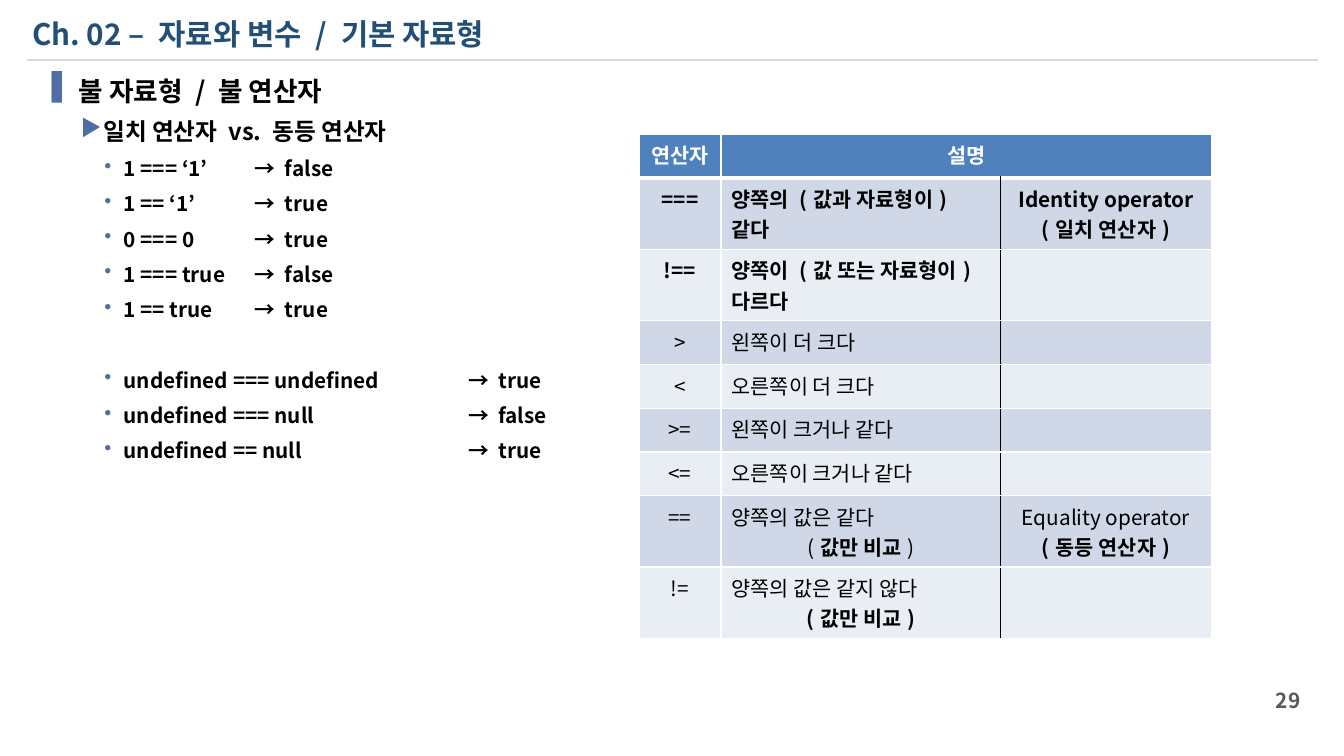
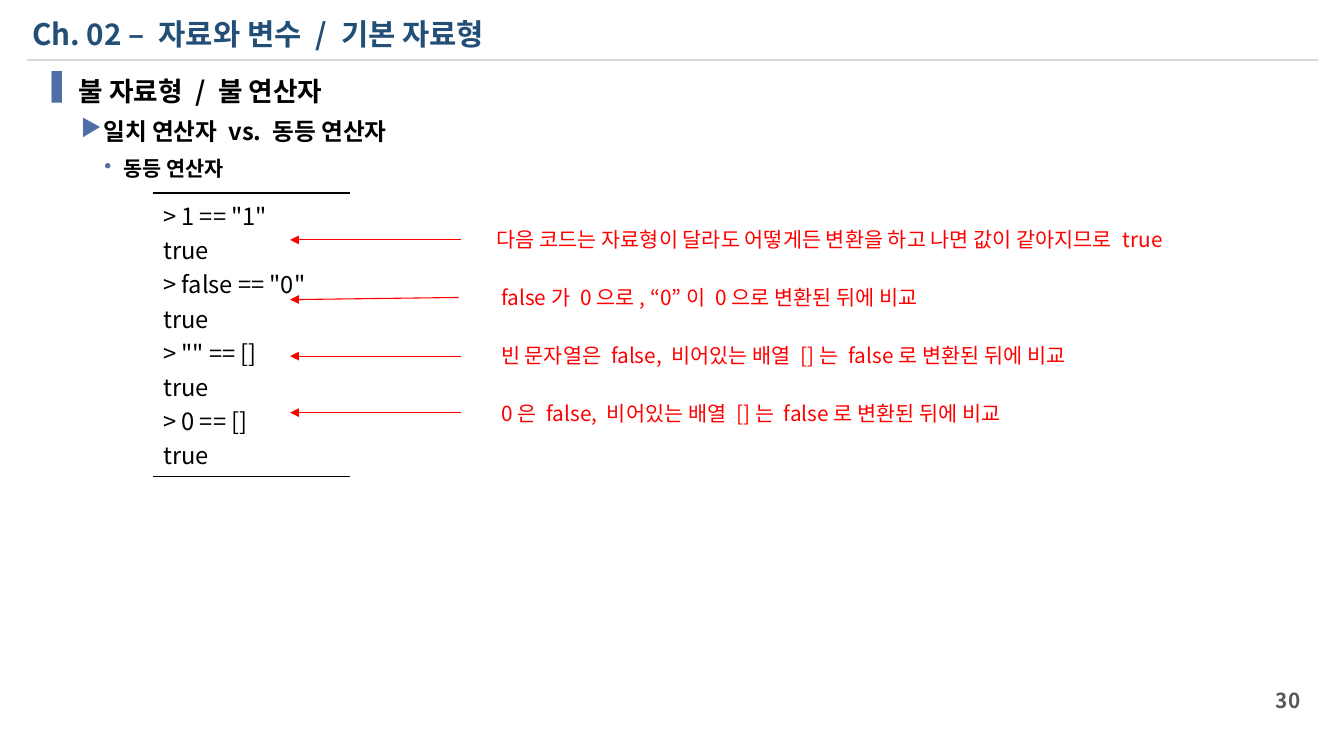
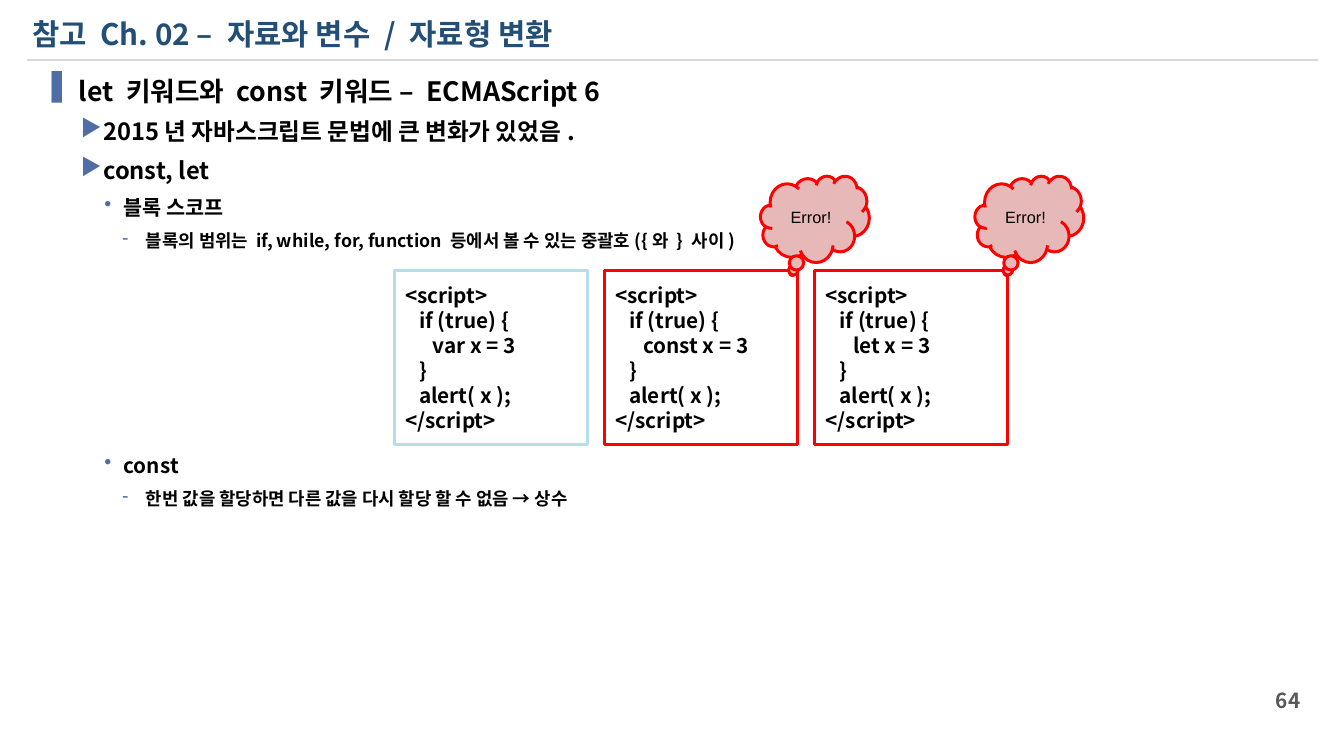
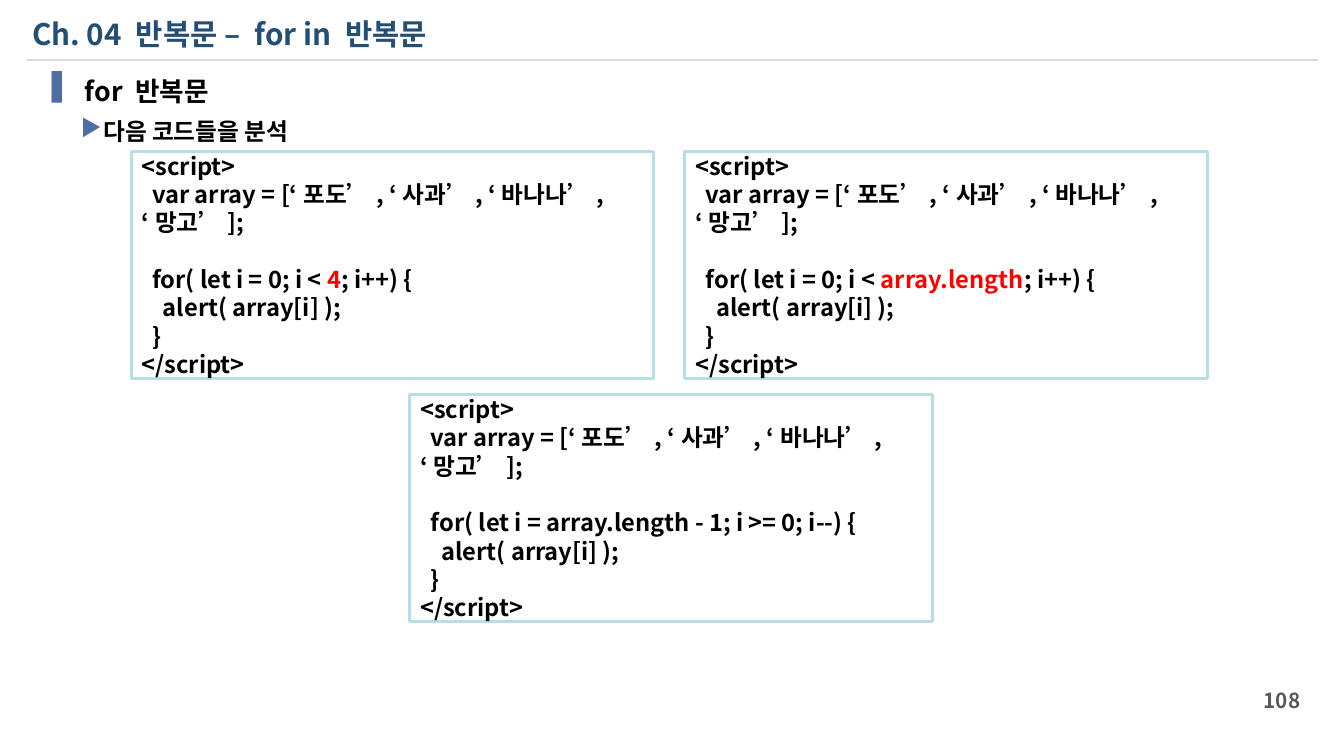
from lxml.etree import SubElement
from pptx import Presentation
from pptx.dml.color import RGBColor
from pptx.enum.shapes import MSO_CONNECTOR, MSO_SHAPE
from pptx.enum.text import MSO_ANCHOR as ANCHOR, MSO_AUTO_SIZE as AUTO, PP_ALIGN as ALIGN
from pptx.oxml.ns import qn
from pptx.util import Pt

PX = 9144  # 100 px to the inch
FONT = "Noto Sans CJK KR"
LEADING = 1.2  # line pitch of outlines and code, in font sizes
TAB_STOPS = [100, 200, 300, 400]
COLORS = {
    "title": "234F77", "rule": "D9D9D9", "page": "595959", "bullet": "506EA5",
    "black": "000000", "white": "FFFFFF", "red": "FF0000", "pink": "E6B9B8",
    "sky": "B7DEE8", "header": "4F81BD", "band0": "D0D8E8", "band1": "E9EDF4",
}

# Outline levels: bullet, left margin, hanging indent (px), size and space before (pt)
LEVELS = [("▐", 35, 35, 18, 14), ("▶", 58, 21, 16, 7), ("•", 77, 18, 14, 7), ("-", 98, 22, 12, 7)]

# Content: outline lines are (level, text) or (level, text, space before in pt)
BASIC_TITLE = "Ch. 02 – 자료와 변수 / 기본 자료형"
COMPARISON = [(0, "불 자료형 / 불 연산자"), (1, "일치 연산자 vs. 동등 연산자")]
SLIDES = {
    "operators": (BASIC_TITLE, 29, COMPARISON + [
        (2, "1 === ‘1’ \t→  false"),
        (2, "1 == ‘1’\t→  true"),
        (2, "0 === 0\t→  true"),
        (2, "1 === true \t→  false"),
        (2, "1 == true\t→  true"),
        (2, "undefined === undefined\t→  true", 31),
        (2, "undefined === null\t\t→  false"),
        (2, "undefined == null\t\t→  true"),
    ]),
    "equality": (BASIC_TITLE, 30, COMPARISON + [(2, "동등 연산자")]),
    "scope": ("참고 Ch. 02 – 자료와 변수 / 자료형 변환", 64, [
        (0, "let 키워드와 const 키워드 – ECMAScript 6"),
        (1, "2015년 자바스크립트 문법에 큰 변화가 있었음."),
        (1, "const, let"),
        (2, "블록 스코프"),
        (3, "블록의 범위는 if, while, for, function 등에서 볼 수 있는 중괄호({와 } 사이)"),
        (2, "const", 136),
        (3, "한번 값을 할당하면 다른 값을 다시 할당 할 수 없음 → 상수"),
    ]),
    "loops": ("Ch. 04 반복문 – for in 반복문", 108, [(0, " for 반복문"), (1, "다음 코드들을 분석")]),
}

# Text between bars is emphasised
OPERATOR_HEADS = ["연산자", "설명"]
OPERATOR_WIDTHS = [77, 262, 198]
OPERATOR_HEIGHTS = [41, 67, 67, 41, 41, 41, 41, 67, 67]
OPERATORS = [
    ("|===|", ["|양쪽의 (값과 자료형이) 같다|"], ["|Identity operator|", "|(일치 연산자)|"]),
    ("|!==|", ["|양쪽이 (값 또는 자료형이) 다르다|"], [""]),
    (">", ["왼쪽이 더 크다"], [""]),
    ("<", ["오른쪽이 더 크다"], [""]),
    (">=", ["왼쪽이 크거나 같다"], [""]),
    ("<=", ["오른쪽이 크거나 같다"], [""]),
    ("==", ["양쪽의 값은 같다", "(|값만 비교|)"], ["Equality operator", "|(동등 연산자)|"]),
    ("!=", ["양쪽의 값은 같지 않다", "|(값만 비교)|"], [""]),
]

CONSOLE = ['> 1 == "1"', "true", '> false == "0"', "true", '> "" == []', "true", "> 0 == []", "true"]
# Text, text left and top, width, arrow start and end
REMARKS = [
    ("다음 코드는 자료형이 달라도 어떻게든 변환을 하고 나면 값이 같아지므로 true", 456, 208, 735, (432, 225), (272, 225)),
    ("false가 0으로, “0”이 0으로 변환된 뒤에 비교", 460, 262, 668, (430, 279), (272, 281)),
    ("빈 문자열은 false, 비어있는 배열 []는 false로 변환된 뒤에 비교", 460, 317, 747, (432, 334), (272, 334)),
    ("0은 false, 비어있는 배열 []는 false로 변환된 뒤에 비교", 460, 371, 747, (432, 387), (272, 387)),
]

# Code lines are (indent steps, text) or (indent steps, text, space before in pt)
DECLARATIONS = [("var", "sky"), ("const", "red"), ("let", "red")]
ERROR_LEFTS = [713, 914]
LOOP_HEADS = [
    ("let i = 0; i < |4|; i++", 123, 142),
    ("let i = 0; i < |array.length|; i++", 642, 142),
    ("let i = array.length - 1; i >= 0; i--", 384, 370),
]


def rgb(name):
    return RGBColor.from_string(COLORS[name])


def px(*lengths):
    return [length * PX for length in lengths]


def write(paragraph, text, size, color="black", bold=False, align=None, font=FONT, emphasis=None):
    """Fill one paragraph; emphasis is a colour name, or None for bold."""
    style = paragraph.font
    style.name, style.size, style.bold = font, Pt(size), bold
    style.color.rgb = rgb(color)
    if align is not None:
        paragraph.alignment = align
    for index, part in enumerate(text.split("|")):
        if part:
            run = paragraph.add_run()
            run.text = part
            if index % 2 and emphasis:
                run.font.color.rgb = rgb(emphasis)
            elif index % 2:
                run.font.bold = True
    if not text:
        SubElement(paragraph._p, qn("a:endParaRPr"), sz=str(size * 100))


def paragraphs(frame, lines):
    """Yield a paragraph for every line."""
    for index, line in enumerate(lines):
        yield (frame.add_paragraph() if index else frame.paragraphs[0]), line


def add_text(slide, box):
    frame = slide.shapes.add_textbox(*px(*box)).text_frame
    frame.word_wrap = True
    return frame


def add_line(slide, start, end, color, weight, arrow=False):
    line = slide.shapes.add_connector(MSO_CONNECTOR.STRAIGHT, *px(*start, *end))
    line.line.color.rgb = rgb(color)
    line.line.width = Pt(weight)
    if arrow:
        SubElement(line.line._get_or_add_ln(), qn("a:tailEnd"), type="triangle")
    SubElement(line._element.spPr, qn("a:effectLst"))


def add_panel(slide, kind, box, line, fill=None):
    panel = slide.shapes.add_shape(kind, *px(*box))
    panel.shadow.inherit = False
    panel.line.color.rgb = rgb(line)
    panel.line.width = Pt(2)
    if fill:
        panel.fill.solid()
        panel.fill.fore_color.rgb = rgb(fill)
    else:
        panel.fill.background()
    panel.text_frame.word_wrap = True
    panel.text_frame.vertical_anchor = ANCHOR.MIDDLE
    return panel.text_frame


def add_code(slide, box, line, code, size, step):
    frame = add_panel(slide, MSO_SHAPE.RECTANGLE, box, line)
    for paragraph, (depth, text, *before) in paragraphs(frame, code):
        write(paragraph, text, size, bold=True, align=ALIGN.LEFT, emphasis="red")
        paragraph.line_spacing = Pt(size * LEADING)
        paragraph.space_before = Pt(before[0] if before else 0)
        paragraph._p.get_or_add_pPr().set("indent", str(depth * step * PX))


def add_table(slide, left, top, widths, heights):
    box = px(left, top, sum(widths), sum(heights))
    table = slide.shapes.add_table(len(heights), len(widths), *box).table
    table.first_row = table.horz_banding = False
    for column, width in zip(table.columns, widths):
        column.width = width * PX
    for row, height in zip(table.rows, heights):
        row.height = height * PX
    return table


def style_cell(cell, fill=None, **borders):
    """Borders are (colour, points) by side: L, R, T, B; a missing side has none."""
    properties = cell._tc.get_or_add_tcPr()
    for side in "LRTB":
        color, weight = borders.get(side, (None, 0))
        edge = SubElement(properties, qn("a:ln" + side), w=str(Pt(weight)))
        if color:
            SubElement(SubElement(edge, qn("a:solidFill")), qn("a:srgbClr"), val=COLORS[color])
        else:
            SubElement(edge, qn("a:noFill"))
    if fill:
        cell.fill.solid()
        cell.fill.fore_color.rgb = rgb(fill)
    else:
        cell.fill.background()


def add_outline(slide, outline):
    frame = add_text(slide, (29, 63, 1201, 191))
    frame.margin_top = 7 * PX
    for paragraph, (level, text, *before) in paragraphs(frame, outline):
        bullet, margin, hanging, size, space = LEVELS[level]
        paragraph.level = level
        paragraph.line_spacing = Pt(size * LEADING)
        paragraph.space_before = Pt(before[0] if before else space)
        properties = paragraph._p.get_or_add_pPr()
        properties.set("marL", str(margin * PX))
        properties.set("indent", str(-hanging * PX))
        SubElement(SubElement(properties, qn("a:buClr")), qn("a:srgbClr"), val=COLORS["bullet"])
        SubElement(properties, qn("a:buChar"), char=bullet)
        if "\t" in text:
            tabs = SubElement(properties, qn("a:tabLst"))
            for stop in TAB_STOPS:
                SubElement(tabs, qn("a:tab"), pos=str(stop * PX), algn="l")
        write(paragraph, text, size, bold=True)


def start_slide(deck, heading, number, outline):
    """Title, rule, page number and outline, the same on every slide."""
    slide = deck.slides.add_slide(deck.slide_layouts[5])
    title = slide.shapes.title
    title.left, title.top, title.width, title.height = px(20, 8, 1186, 44)
    title.text_frame.auto_size = AUTO.NONE
    title.text_frame.vertical_anchor = ANCHOR.MIDDLE
    title_line = title.text_frame.paragraphs[0]
    write(title_line, heading, 20, "title", True, ALIGN.LEFT)
    title_line.line_spacing = Pt(26)
    add_line(slide, (25, 56), (1236, 56), "rule", 1.5)
    page = add_text(slide, (1135, 638, 94, 38))
    page.vertical_anchor = ANCHOR.MIDDLE
    write(page.paragraphs[0], str(number), 14, "page", True, ALIGN.RIGHT)
    add_outline(slide, outline)
    return slide


def fill_operators(slide):
    table = add_table(slide, 599, 126, OPERATOR_WIDTHS, OPERATOR_HEIGHTS)
    thin, thick, divider = ("white", 1), ("white", 3), ("black", 1)
    for column in range(3):
        style_cell(table.cell(0, column), "header", L=thin, R=thin, T=thin, B=thick)
    table.cell(0, 1).merge(table.cell(0, 2))
    for column, head in enumerate(OPERATOR_HEADS):
        write(table.cell(0, column).text_frame.paragraphs[0], head, 14, "white", True, ALIGN.CENTER)
    for row, (operator, meaning, name) in enumerate(OPERATORS, 1):
        for column, lines in enumerate([[operator], meaning, name]):
            cell = table.cell(row, column)
            style_cell(cell, f"band{(row - 1) % 2}",
                       L=divider if column == 2 else thin, R=divider if column == 1 else thin,
                       T=thick if row == 1 else thin, B=thin)
            for index, (paragraph, line) in enumerate(paragraphs(cell.text_frame, lines)):
                left = column == 1 and index == 0
                write(paragraph, line, 14, align=ALIGN.LEFT if left else ALIGN.CENTER)


def fill_equality(slide):
    console = add_table(slide, 143, 181, [185], [266]).cell(0, 0)
    style_cell(console, T=("black", 1), B=("black", 1))
    for paragraph, line in paragraphs(console.text_frame, CONSOLE):
        write(paragraph, line, 16)
    for text, left, top, width, start, end in REMARKS:
        write(add_text(slide, (left, top, width, 34)).paragraphs[0], text, 14, "red")
        add_line(slide, start, end, "red", 0.75, arrow=True)


def fill_scope(slide):
    for index, (keyword, line) in enumerate(DECLARATIONS):
        code = [(0, "<script>"), (1, "if (true) {"), (2, f"{keyword} x = 3"), (1, "}"),
                (1, "alert( x );"), (0, "</script>")]
        add_code(slide, (370 + index * 197, 254, 181, 163), line, code, 14, 13)
    for left in ERROR_LEFTS:
        cloud = add_panel(slide, MSO_SHAPE.CLOUD_CALLOUT, (left, 165, 102, 81), "red", "pink")
        write(cloud.paragraphs[0], "Error!", 11, align=ALIGN.CENTER, font="Arial")


def fill_loops(slide):
    for head, left, top in LOOP_HEADS:
        code = [(0, "<script>"), (1, "var array = [‘포도’, ‘사과’, ‘바나나’, ‘망고’];"),
                (1, f"for( {head}) {{", 19), (2, "alert( array[i] );"), (1, "}"), (0, "</script>")]
        add_code(slide, (left, top, 490, 213), "sky", code, 16, 10)


def main():
    deck = Presentation()
    deck.slide_width, deck.slide_height = px(1260, 709)
    fillers = {"operators": fill_operators, "equality": fill_equality,
               "scope": fill_scope, "loops": fill_loops}
    for topic, shared in SLIDES.items():
        fillers[topic](start_slide(deck, *shared))
    deck.save("out.pptx")


if __name__ == "__main__":
    main()
